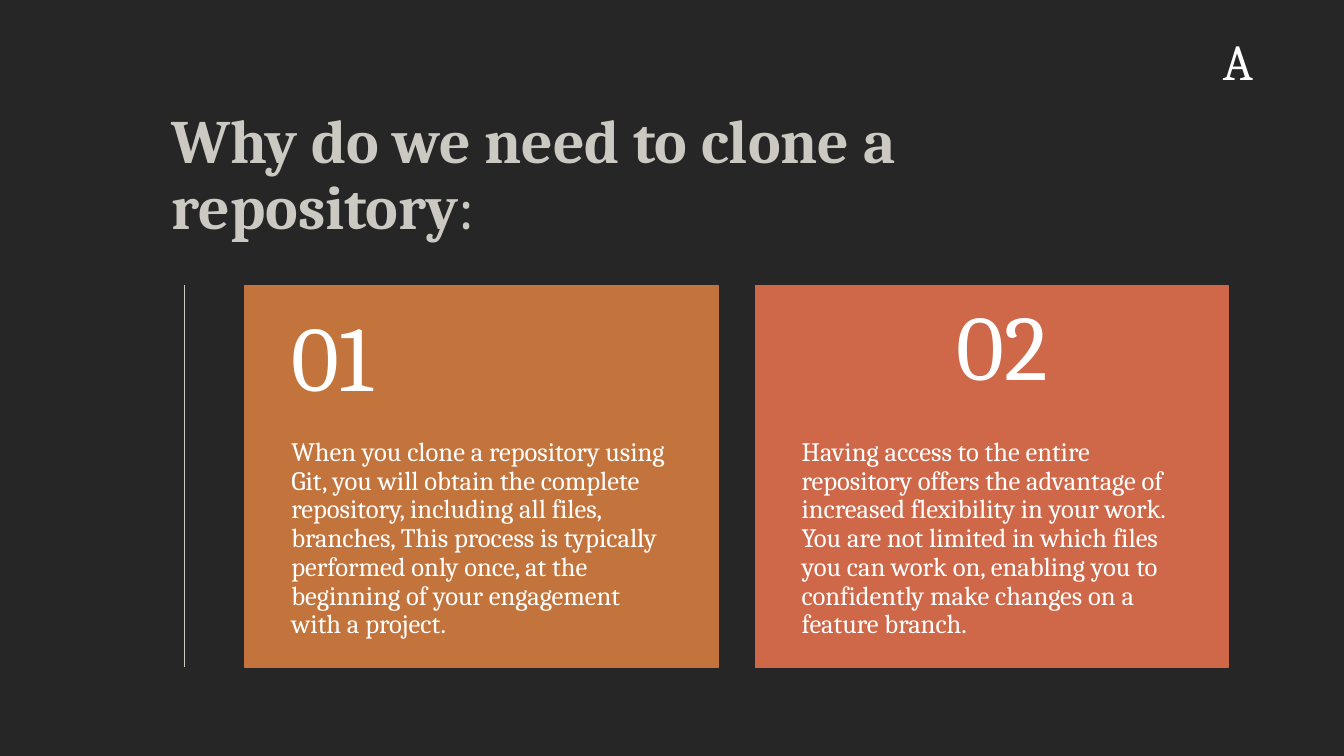
from pptx import Presentation
from pptx.dml.color import RGBColor
from pptx.enum.shapes import MSO_CONNECTOR as Connector, MSO_SHAPE as Shape
from pptx.enum.text import MSO_ANCHOR as Anchor, MSO_AUTO_SIZE as AutoSize
from pptx.oxml.ns import qn
from pptx.util import Inches, Pt
from lxml.etree import SubElement

BACKGROUND, SAND, WHITE = "262626", "CCC9C2", "FFFFFF"
CARD_TOP, CARD_WIDTH, CARD_HEIGHT = 2.83, 4.69, 3.79
NUMBER_HEIGHT = 1.52
CARD_LEFT, CARD_STEP = 2.43, 5.06
CARDS = [
    ("C3743C", "When you clone a repository using Git, you will obtain the complete "
               "repository, including all files, branches, This process is typically "
               "performed only once, at the beginning of your engagement with a project."),
    ("CF6749", "Having access to the entire repository offers the advantage of increased "
               "flexibility in your work. You are not limited in which files you can work "
               "on, enabling you to confidently make changes on a feature branch."),
]


def color(value):
    return RGBColor.from_string(value)


class SlideBuilder:
    """Holds the font and the current page, and adds each kind of element."""

    def __init__(self, page, font):
        self.page = page
        self.font = font

    def background(self, fill):
        self.page.background.fill.solid()
        self.page.background.fill.fore_color.rgb = color(fill)

    def span(self, para, text, size, ink, bold=False):
        span = para.add_run()
        span.text = text
        span.font.name = self.font
        span.font.size = Pt(size)
        span.font.bold = bold
        span.font.color.rgb = color(ink)

    def title(self, spans, left, top, width, height):
        box = self.page.shapes.title
        box.left, box.top = Inches(left), Inches(top)
        box.width, box.height = Inches(width), Inches(height)
        frame = box.text_frame
        frame.word_wrap = True
        frame.auto_size = AutoSize.NONE
        frame.vertical_anchor = Anchor.BOTTOM
        para = frame.paragraphs[0]
        para.alignment = 1
        para.line_spacing = 0.9
        para.space_before = Pt(0)
        for text, bold in spans:
            self.span(para, text, 44, SAND, bold)

    def line(self, left, top, right, bottom):
        line = self.page.shapes.add_connector(
            Connector.STRAIGHT, Inches(left), Inches(top), Inches(right), Inches(bottom))
        line.line.color.rgb = color(SAND)
        line.line.width = Pt(0.85)
        SubElement(line._element.spPr, qn("a:effectLst"))

    def rectangle(self, left, top, width, height, fill):
        shape = self.page.shapes.add_shape(
            Shape.RECTANGLE, Inches(left), Inches(top), Inches(width), Inches(height))
        shape.shadow.inherit = False
        shape.fill.solid()
        shape.fill.fore_color.rgb = color(fill)
        shape.line.color.rgb = color(fill)
        shape.line.width = Pt(1)

    def text(self, text, size, left, top, width, height,
             insets=(0.1, 0.05, 0.1, 0.05), anchor=Anchor.TOP, spacing=1.0, grow=False):
        box = self.page.shapes.add_textbox(
            Inches(left), Inches(top), Inches(width), Inches(height))
        frame = box.text_frame
        frame.word_wrap = True
        frame.auto_size = AutoSize.SHAPE_TO_FIT_TEXT if grow else AutoSize.NONE
        frame.vertical_anchor = anchor
        (frame.margin_left, frame.margin_top,
         frame.margin_right, frame.margin_bottom) = map(Inches, insets)
        para = frame.paragraphs[0]
        para.line_spacing = spacing
        self.span(para, text, size, WHITE)


def main():
    deck = Presentation()
    deck.slide_width, deck.slide_height = Inches(13.33), Inches(7.5)
    builder = SlideBuilder(deck.slides.add_slide(deck.slide_layouts[5]), "Cambria")
    builder.background(BACKGROUND)
    builder.title([("Why do we need to clone a repository", True), (":", False)],
                  1.6, 0.96, 8.32, 1.5)
    builder.line(1.83, CARD_TOP, 1.83, CARD_TOP + CARD_HEIGHT)
    for index, (fill, reason) in enumerate(CARDS):
        left = CARD_LEFT + index * CARD_STEP
        builder.rectangle(left, CARD_TOP, CARD_WIDTH, CARD_HEIGHT, fill)
        builder.text(reason, 19, left, CARD_TOP + NUMBER_HEIGHT, CARD_WIDTH,
                     CARD_HEIGHT - NUMBER_HEIGHT, (0.46, 0, 0.46, 0.36), spacing=0.9)
    builder.text("01", 66, CARD_LEFT, CARD_TOP, CARD_WIDTH, NUMBER_HEIGHT,
                 (0.46, 0.18, 0.46, 0.18), Anchor.MIDDLE, 0.9)
    builder.text("02", 66, 9.39, 2.81, 1.41, 1.21, grow=True)
    builder.text("A", 36, 12.03, 0.25, 1.31, 0.71, grow=True)
    deck.save("out.pptx")


if __name__ == "__main__":
    main()
